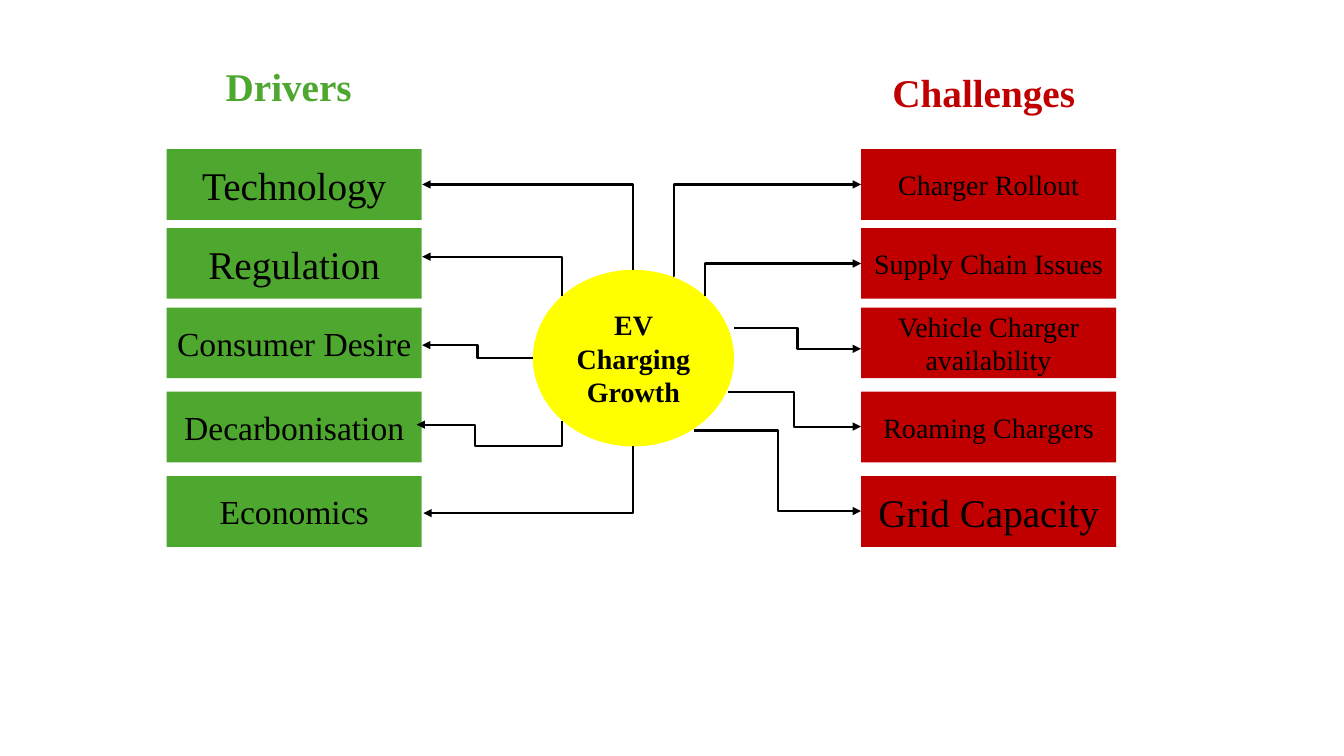
import lxml.etree
import pptx
import pptx.dml.color
import pptx.enum.shapes
import pptx.enum.text
import pptx.oxml.ns
import pptx.util

Cm = pptx.util.Cm
SHAPES = pptx.enum.shapes.MSO_SHAPE
FONT = "Times New Roman"
COLORS = {"green": "4EA72E", "red": "C00000", "yellow": "FFFF00", "black": "000000"}

# Content: heading, heading left and top, column left, colour, (label, size) rows
COLUMNS = [
    ("Drivers", 4.06, 1.27, 4.2, "green",
     [("Technology", 28), ("Regulation", 28), ("Consumer Desire", 24),
      ("Decarbonisation", 24), ("Economics", 24)]),
    ("Challenges ", 21.7, 1.42, 21.7, "red",
     [("Charger Rollout", 20), ("Supply Chain Issues", 20),
      ("Vehicle Charger availability", 20), ("Roaming Chargers", 20),
      ("Grid Capacity", 28)]),
]
ROW_TOPS = [3.76, 5.75, 7.75, 9.87, 12.0]
BOX_WIDTH, BOX_HEIGHT = 6.43, 1.78
HUB = ("EV Charging Growth", 13.43, 6.8, 5.07, 4.45)

# Arrows in cm: start, end, and bend adjustments in 1/100000
VERTICAL_ARROWS = [
    ((15.96, 6.8), (10.64, 4.65), []),
    ((14.17, 7.46), (10.64, 6.47), []),
    ((14.17, 10.61), (10.5, 10.7), [711000, 60200]),
    ((15.96, 11.25), (10.67, 12.93), []),
    ((17.76, 7.46), (21.7, 6.64), []),
]
HORIZONTAL_ARROWS = [
    ((13.43, 9.03), (10.64, 8.7), [50000]),
    ((16.95, 6.96), (21.7, 4.65), [900]),
    ((18.5, 8.26), (21.7, 8.79), [50000]),
    ((18.34, 9.88), (21.7, 10.75), [50000]),
    ((17.5, 10.85), (21.7, 12.88), [50000]),
]


def rgb(name):
    return pptx.dml.color.RGBColor.from_string(COLORS[name])


def write_text(shape, text, size, color, bold=False):
    frame = shape.text_frame
    frame.word_wrap = True
    frame.vertical_anchor = pptx.enum.text.MSO_ANCHOR.MIDDLE
    frame.text = text
    para = frame.paragraphs[0]
    para.alignment = pptx.enum.text.PP_ALIGN.CENTER
    span = para.runs[0]
    span.font.name = FONT
    span.font.size = pptx.util.Pt(size)
    span.font.bold = bold
    span.font.color.rgb = rgb(color)


def add_filled(page, kind, place, fill, text, size, bold=False):
    shape = page.shapes.add_shape(kind, *map(Cm, place))
    shape.shadow.inherit = False
    shape.fill.solid()
    shape.fill.fore_color.rgb = rgb(fill)
    shape.line.fill.background()
    write_text(shape, text, size, "black", bold)


def add_arrow(page, start, end, bends, vertical):
    (x1, y1), (x2, y2) = start, end
    turn = 0
    if vertical:
        # Lay the frame on its side, then turn it so that it leaves vertically
        turn = 90 if y2 > y1 else 270
        center_x, center_y = (x1 + x2) / 2, (y1 + y2) / 2
        half_width, half_height = abs(y2 - y1) / 2, abs(x2 - x1) / 2
        if (x2 > x1) == (turn == 90):
            half_height = -half_height
        x1, x2 = center_x - half_width, center_x + half_width
        y1, y2 = center_y - half_height, center_y + half_height
    arrow = page.shapes.add_connector(
        pptx.enum.shapes.MSO_CONNECTOR.ELBOW, *map(Cm, (x1, y1, x2, y2)))
    arrow.rotation = turn
    arrow.line.color.rgb = rgb("black")
    arrow.line.width = pptx.util.Pt(1.5)

    # Bend shape, arrowhead and no shadow
    qn = pptx.oxml.ns.qn
    add_element = lxml.etree.SubElement
    properties = arrow._element.spPr
    geometry = properties.find(qn("a:prstGeom"))
    geometry.set("prst", f"bentConnector{len(bends) + 2}")
    guides = geometry.find(qn("a:avLst"))
    for number, value in enumerate(bends, 1):
        add_element(guides, qn("a:gd"), name=f"adj{number}", fmla=f"val {value}")
    add_element(properties.find(qn("a:ln")), qn("a:tailEnd"), type="triangle")
    add_element(properties, qn("a:effectLst"))


def main():
    deck = pptx.Presentation()
    deck.slide_width, deck.slide_height = Cm(33.87), Cm(19.05)
    page = deck.slides.add_slide(deck.slide_layouts[6])

    # Two columns of boxes
    for _, _, _, left, color, rows in COLUMNS:
        for top, (label, size) in zip(ROW_TOPS, rows):
            add_filled(page, SHAPES.RECTANGLE, (left, top, BOX_WIDTH, BOX_HEIGHT),
                       color, label, size)

    # Central hub and its arrows
    add_filled(page, SHAPES.OVAL, HUB[1:], "yellow", HUB[0], 20, True)
    for arrows, vertical in ((VERTICAL_ARROWS, True), (HORIZONTAL_ARROWS, False)):
        for start, end, bends in arrows:
            add_arrow(page, start, end, bends, vertical)

    # Headings
    for heading, left, top, _, color, _ in COLUMNS:
        box = page.shapes.add_textbox(*map(Cm, (left, top, BOX_WIDTH, BOX_HEIGHT)))
        write_text(box, heading, 28, color, True)

    deck.save("out.pptx")


if __name__ == "__main__":
    main()
